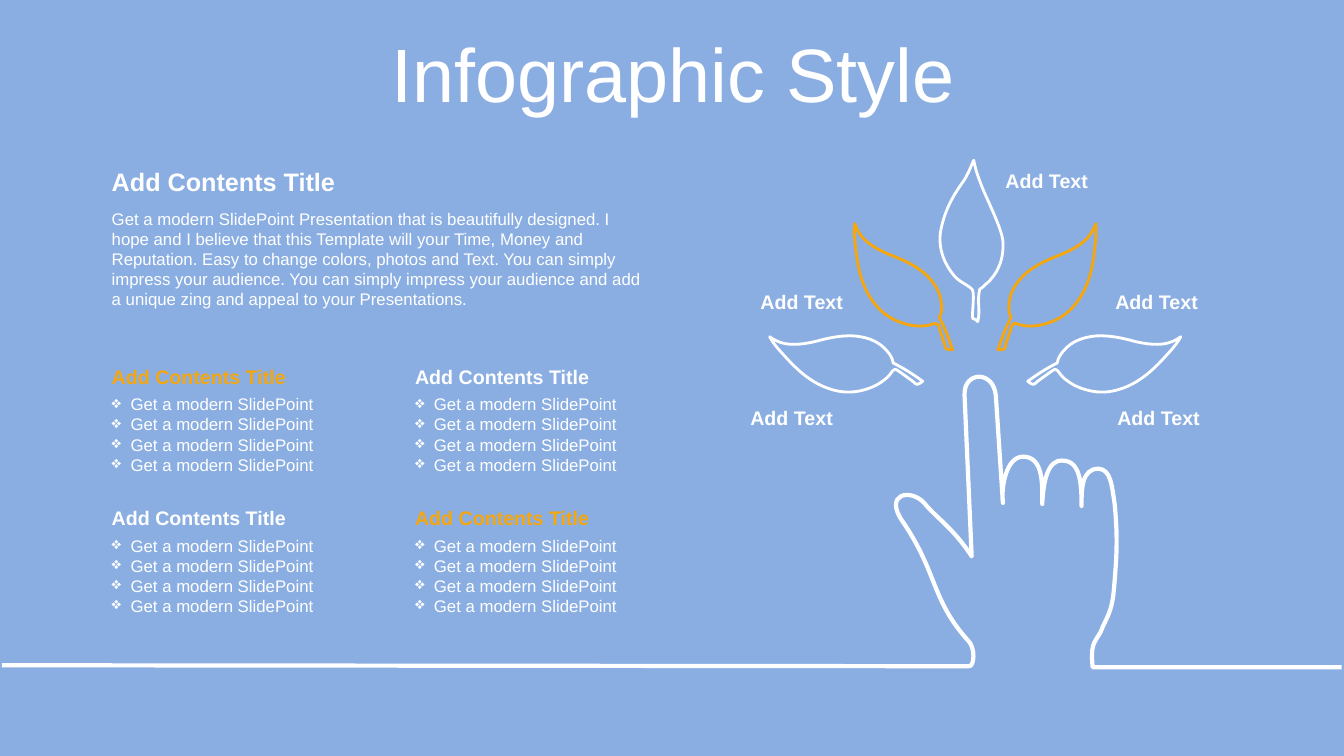
from dataclasses import dataclass

from pptx import Presentation
from pptx.dml.color import RGBColor
from pptx.enum.text import MSO_ANCHOR, PP_ALIGN
from pptx.oxml.ns import qn
from pptx.oxml.xmlchemy import OxmlElement
from pptx.util import Pt

LEFT, CENTER = PP_ALIGN.LEFT, PP_ALIGN.CENTER
TOP, MIDDLE = MSO_ANCHOR.TOP, MSO_ANCHOR.MIDDLE


@dataclass(frozen=True)
class Theme:
    font: str = "Arial"
    back: RGBColor = RGBColor(0x8A, 0xAE, 0xE2)
    white: RGBColor = RGBColor(0xFF, 0xFF, 0xFF)
    gold: RGBColor = RGBColor(0xF7, 0xA6, 0x0B)
    title: int = 54
    lead: int = 18
    head: int = 14
    body: int = 12


# Outlines: a start point, then one row per segment.
# Two numbers end a straight line; six give a cubic curve.
HAND = [
    (1.4, 475.2),
    (691.9, 475.9),
    (696.2, 476.6, 697, 462.2, 691.2, 457.2),
    (665.3, 428.4, 669.6, 409, 645.1, 373),
    (630.7, 352.8, 650.2, 348.5, 660.2, 359.3),
    (668.2, 369.4, 681.1, 377.3, 694.1, 397.4),
    (689, 282.2),
    (688.3, 265, 709.9, 264.2, 711.4, 283),
    (716.4, 359.3),
    (715, 348.5, 718.6, 326.2, 730.8, 326.2),
    (745.9, 326.2, 744.5, 347.8, 744.5, 360),
    (745.2, 344.9, 748.1, 328.3, 758.9, 329),
    (771.8, 329, 772.6, 345.6, 772.6, 361.4),
    (772.6, 349.2, 772.6, 334.8, 784.8, 334.8),
    (793.4, 335.5, 794.2, 346.3, 796.3, 360.7),
    (798.5, 385.2, 797.8, 396.7, 795.6, 421.9),
    (794.2, 437.8, 789.8, 442.1, 786.2, 451.4),
    (781.2, 460.1, 779, 460.1, 780.5, 476.6),
    (958.3, 476.6),
]
SIDE_LEAF = [
    (0, 90),
    (2.9, 81.4, 5, 75.6, 9.4, 67),
    (8.6, 65.5, 7.9, 63.4, 7.9, 61.9),
    (7.2, 50.4, 12.2, 42.5, 20.2, 35.3),
    (28.1, 28.8, 36.7, 25.2, 46.1, 21.6),
    (52.6, 18.7, 58.3, 15.8, 63.4, 10.8),
    (66.2, 7.9, 68.4, 4.3, 69.8, 0),
    (70.6, 6.5, 69.8, 12.2, 69.1, 18),
    (67.7, 31.7, 64.8, 44.6, 56.9, 55.4),
    (49.7, 65.5, 40.3, 70.6, 28.8, 72.7),
    (23, 73.4, 18, 73.4, 13, 71.3),
    (10.8, 70.6, 10.8, 72, 10.1, 72.7),
    (8.6, 77, 7.2, 81.4, 5.8, 85.7),
    (5, 90, 5, 90, 0, 90),
]
TOP_LEAF = [
    (28.1, 115.2),
    (30.2, 107.3, 27.4, 101.5, 29.5, 92.2),
    (31, 91.4, 32.4, 90, 33.8, 88.6),
    (42.5, 81.4, 46.8, 70.6, 46.1, 58.3),
    (45.4, 48.2, 33.8, 26.6, 30.2, 16.6),
    (26.6, 7.2, 26.6, 5.8, 25.2, 0),
    (22.3, 6.5, 20.9, 10.8, 17.3, 15.8),
    (9.4, 26.6, 3.6, 38.2, 1.4, 51.8),
    (0, 64.1, 4.3, 74.2, 11.5, 82.8),
    (15.1, 87.1, 23, 90, 24.5, 92.9),
    (25.9, 97.9, 23.8, 109.4, 24.5, 113),
    (25.2, 114.5, 24.5, 111.6, 28.1, 115.2),
]
MID = 696.6  # axis of the leaf fan
LABELS = [(527, 286.6), (789.1, 286.6), (534.2, 203.8), (787.7, 203.8), (709.2, 117.4)]
INTRO = (
    "Get a modern SlidePoint Presentation that is beautifully designed. "
    "I hope and I believe that this Template will your Time, Money and Reputation. "
    "Easy to change colors, photos and Text. You can simply impress your audience. "
    "You can simply impress your audience and add a unique zing and appeal "
    "to your Presentations."
)


class Board:
    def __init__(self, slide, theme):
        self.slide, self.theme = slide, theme
        slide.background.fill.solid()
        slide.background.fill.fore_color.rgb = theme.back

    def text(self, words, box, size, color=None, bold=False, align=LEFT,
             anchor=TOP, mark=None, space=None):
        shape = self.slide.shapes.add_textbox(*map(Pt, box))
        frame = shape.text_frame
        frame.word_wrap = True
        frame.vertical_anchor = anchor
        frame.text = words
        for para in frame.paragraphs:
            if mark:
                props = para._p.get_or_add_pPr()
                props.set("marL", str(Pt(13.5)))
                props.set("indent", str(-Pt(13.5)))
                bullet = OxmlElement("a:buChar")
                bullet.set("char", mark)
                props.append(bullet)
            para.alignment = align
            if space:
                para.line_spacing = space
            for run in para.runs:
                run.font.name = self.theme.font
                run.font.size = Pt(size)
                run.font.bold = bold
                run.font.color.rgb = color or self.theme.white

    def outline(self, rows, color, width, left=0, top=0, flip=False, turn=0, close=True):
        """Draw an outline shifted to left/top; flip mirrors it about the fan axis."""
        def spots(row):
            for x, y in zip(row[::2], row[1::2]):
                x += left
                yield Pt(2 * MID - x if flip else x), Pt(y + top)

        start, *segments = rows
        pen = self.slide.shapes.build_freeform(*next(spots(start)))
        pen.add_line_segments([spot for row in segments for spot in spots(row)], close=close)
        shape = pen.convert_to_shape()
        edges = iter(list(shape.element.iter(qn("a:lnTo"))))
        for row in segments:
            edge = next(edges)
            if len(row) == 6:
                edge.tag = qn("a:cubicBezTo")
                for _ in range(2):
                    extra = next(edges)
                    edge.append(extra[0])
                    extra.getparent().remove(extra)
        shape.rotation = -turn if flip else turn
        shape.shadow.inherit = False
        shape.fill.background()
        shape.line.color.rgb = color
        shape.line.width = Pt(width)

    def card(self, left, top, color):
        self.text("\n".join(["Get a modern SlidePoint"] * 4),
                  (left, top + 20.9, 178.6, 65.5), self.theme.body, mark="❖")
        self.text("Add Contents Title", (left, top, 178.6, 24.5),
                  self.theme.head, color, bold=True)


def main():
    deck = Presentation()
    deck.slide_width, deck.slide_height = Pt(960), Pt(540)
    theme = Theme()
    board = Board(deck.slides.add_slide(deck.slide_layouts[6]), theme)

    board.text("Infographic Style", (25.2, 22.3, 911.5, 66.2), theme.title,
               align=CENTER, anchor=MIDDLE, space=0.9)
    board.outline(HAND, theme.white, 3, close=False)
    for left, top, turn, color in [(712.8, 159.8, 0, theme.gold),
                                   (753.8, 211.7, 36, theme.white)]:
        for flip in (False, True):
            board.outline(SIDE_LEAF, color, 2, left, top, flip, turn)
    board.outline(TOP_LEAF, theme.white, 2, 670.3, 114.5)

    board.text(INTRO, (72.7, 145.4, 395.3, 79.9), theme.body)
    board.text("Add Contents Title", (72.7, 115.2, 395.3, 28.8), theme.lead, bold=True)
    for row in range(2):
        for col in range(2):
            color = theme.gold if row == col else theme.white
            board.card(72.7 + 216.7 * col, 257 + 101 * row, color)
    for left, top in LABELS:
        board.text("Add Text", (left, top, 77, 24.5), theme.head, bold=True, align=CENTER)

    deck.save("out.pptx")


if __name__ == "__main__":
    main()
